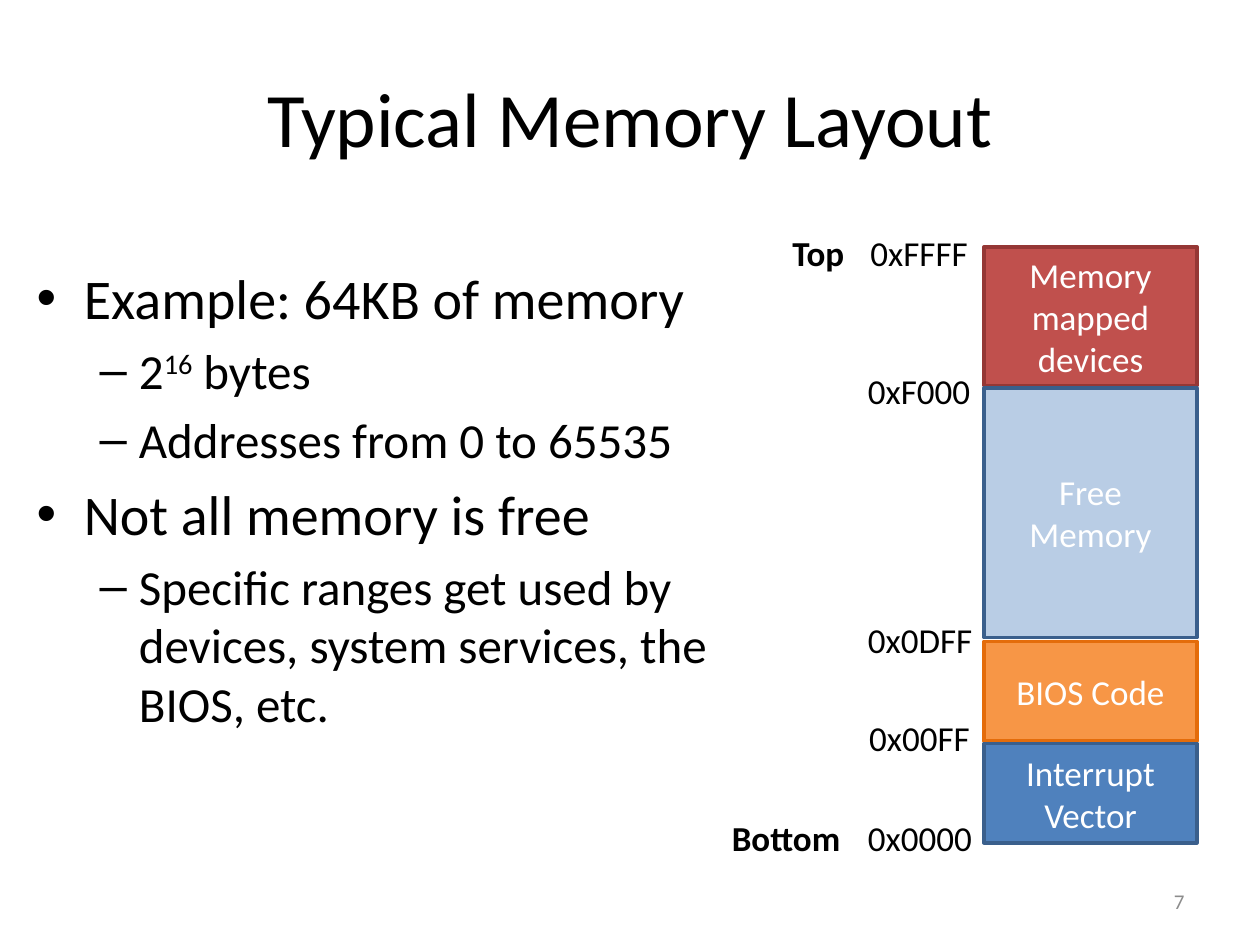
from pptx import Presentation
from pptx.dml.color import RGBColor
from pptx.enum.shapes import MSO_SHAPE
from pptx.enum.text import MSO_ANCHOR, MSO_AUTO_SIZE, PP_ALIGN
from pptx.util import Inches, Pt

RECTANGLE = MSO_SHAPE.RECTANGLE
MIDDLE = MSO_ANCHOR.MIDDLE
NO_FIT = MSO_AUTO_SIZE.NONE
FIT_SHAPE = MSO_AUTO_SIZE.SHAPE_TO_FIT_TEXT
LEFT, CENTER, RIGHT = PP_ALIGN.LEFT, PP_ALIGN.CENTER, PP_ALIGN.RIGHT

FONT = "Calibri"
BLACK = RGBColor(0x00, 0x00, 0x00)
WHITE = RGBColor(0xFF, 0xFF, 0xFF)
GRAY = RGBColor(0x8C, 0x8C, 0x8C)
RED = RGBColor(0xC0, 0x50, 0x4D)
DARK_RED = RGBColor(0x95, 0x37, 0x35)
PALE_BLUE = RGBColor(0xB9, 0xCD, 0xE5)
BLUE = RGBColor(0x4F, 0x81, 0xBD)
DARK_BLUE = RGBColor(0x3A, 0x5F, 0x8C)
ORANGE = RGBColor(0xF7, 0x96, 0x46)
DARK_ORANGE = RGBColor(0xE4, 0x6C, 0x0A)


def add_run(paragraph, text, size, color=BLACK, bold=False):
    run = paragraph.add_run()
    run.text = text
    run.font.name = FONT
    run.font.size = Pt(size)
    run.font.color.rgb = color
    run.font.bold = bold
    return run


def add_label(left, top, width, height, text, size, color=BLACK, bold=False, align=LEFT):
    label = slide.shapes.add_textbox(Inches(left), Inches(top), Inches(width), Inches(height))
    label.text_frame.paragraphs[0].alignment = align
    add_run(label.text_frame.paragraphs[0], text, size, color, bold)
    return label.text_frame


prs = Presentation()
prs.slide_width, prs.slide_height = Inches(10), Inches(7.5)
slide = prs.slides.add_slide(prs.slide_layouts[1])

# Title
title = slide.shapes.title
title.left, title.top = Inches(0.5), Inches(0.3)
title.width, title.height = Inches(9), Inches(1.25)
title.text_frame.vertical_anchor = MIDDLE
title.text_frame.paragraphs[0].alignment = CENTER
add_run(title.text_frame.paragraphs[0], "Typical Memory Layout", 44)

# Bullet list: level and (text, baseline shift) pieces
bullets = [
    (0, [("Example: 64KB of memory", 0)]),
    (1, [("2", 0), ("16", 30000), (" bytes", 0)]),
    (1, [("Addresses from 0 to 65535", 0)]),
    (0, [("Not all memory is free", 0)]),
    (1, [("Specific ranges get used by devices, system services, the BIOS, etc.", 0)]),
]
body = slide.placeholders[1]
body.left, body.top = Inches(0.19), Inches(2.04)
body.width, body.height = Inches(5.73), Inches(4.48)
body.text_frame.auto_size = NO_FIT
for index, (level, pieces) in enumerate(bullets):
    bullet = body.text_frame.add_paragraph() if index else body.text_frame.paragraphs[0]
    bullet.level = level
    for text, baseline in pieces:
        run = add_run(bullet, text, 28 if level else 32)
        if baseline:
            run._r.get_or_add_rPr().set("baseline", str(baseline))

# Memory regions, from top to bottom
regions = [
    ("Memory mapped devices", 1.96, 1.1, RED, DARK_RED),
    ("Free Memory", 3.08, 1.98, PALE_BLUE, DARK_BLUE),
    ("BIOS Code", 5.09, 0.79, ORANGE, DARK_ORANGE),
    ("Interrupt Vector", 5.9, 0.79, BLUE, DARK_BLUE),
]
for name, top, height, fill, outline in regions:
    region = slide.shapes.add_shape(
        RECTANGLE, Inches(7.81), Inches(top), Inches(1.69), Inches(height))
    region.shadow.inherit = False
    region.fill.solid()
    region.fill.fore_color.rgb = fill
    region.line.color.rgb = outline
    region.line.width = Pt(2)
    region.text_frame.word_wrap = True
    region.text_frame.vertical_anchor = MIDDLE
    region.text_frame.paragraphs[0].alignment = CENTER
    add_run(region.text_frame.paragraphs[0], name, 20, WHITE)

# Addresses and end markers
markers = [
    ("0xFFFF", 6.81, 1.79, 0.98, False),
    ("0xF000", 6.79, 2.88, 1.02, False),
    ("0x0DFF", 6.79, 4.86, 1.04, False),
    ("0x00FF", 6.8, 5.64, 1.01, False),
    ("0x0000", 6.79, 6.43, 1.03, False),
    ("Top", 6.19, 1.79, 0.62, True),
    ("Bottom", 5.71, 6.43, 1.08, True),
]
for text, left, top, width, bold in markers:
    frame = add_label(left, top, width, 0.44, text, 20, bold=bold)
    frame.word_wrap = False
    frame.auto_size = FIT_SHAPE

# Slide number
number = add_label(7.17, 6.95, 2.33, 0.4, "7", 12, GRAY, align=RIGHT)
number.word_wrap = True
number.vertical_anchor = MIDDLE

prs.save("out.pptx")
